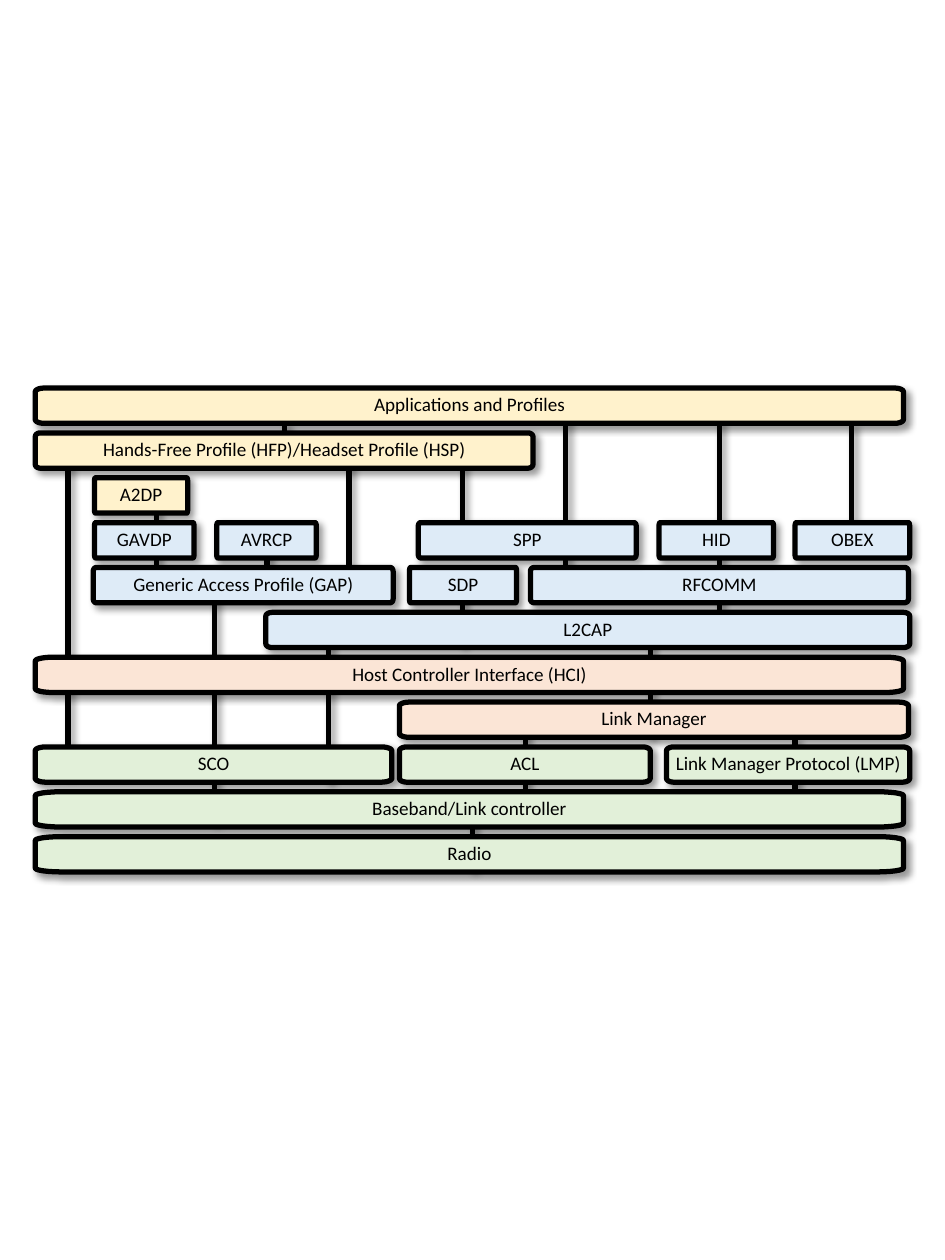
"""Builds a one-slide diagram of a wireless protocol stack."""
import math
from dataclasses import dataclass

from lxml import etree
from pptx import Presentation
from pptx import util as u
from pptx.dml.color import RGBColor
from pptx.enum import shapes, text
from pptx.oxml import ns

BLACK = RGBColor(0x00, 0x00, 0x00)
YELLOW = RGBColor(0xFF, 0xF2, 0xCC)
BLUE = RGBColor(0xDE, 0xEB, 0xF7)
PEACH = RGBColor(0xFB, 0xE5, 0xD6)
GREEN = RGBColor(0xE2, 0xF0, 0xD9)

FIRST_TOP, LAST_TOP, LAST_ROW = 3.08, 6.64, 10
ROW_STEP = (LAST_TOP - FIRST_TOP) / LAST_ROW
BOX_HEIGHT = 0.28
CORNER_HEIGHT = 0.03
CORNER_STEPS = 6


@dataclass(frozen=True)
class Layer:
    """Look shared by the boxes of one layer."""
    fill: RGBColor
    corner_ratio: float
    inset: float


PROFILE = Layer(YELLOW, 0.01, 0.07)
PROTOCOL = Layer(BLUE, 0.01, 0.07)
HOST = Layer(PEACH, 0.02, 0.04)
CONTROLLER = Layer(GREEN, 0.03, 0.04)

LINKS = [
    (1.24, 4.01, 4.72), (2.77, 3.61, 4.69), (2.61, 5.02, 6.21),
    (3.67, 4.62, 5.12), (4.17, 5.80, 6.52), (6.31, 5.85, 6.42),
    (5.16, 5.02, 5.85), (2.12, 4.29, 4.76), (1.70, 4.66, 6.53),
    (0.54, 3.61, 6.16), (3.75, 6.52, 6.91), (2.26, 3.35, 3.66),
    (3.67, 3.57, 4.38), (4.49, 3.30, 4.69), (5.71, 3.32, 5.02),
    (6.76, 3.36, 4.31),
]

BOXES = [
    ("SCO", 8, 0.28, 2.83, CONTROLLER),
    ("ACL", 8, 3.17, 1.99, CONTROLLER),
    ("Baseband/Link controller", 9, 0.28, 6.89, CONTROLLER),
    ("Radio", 10, 0.28, 6.89, CONTROLLER),
    ("Hands-Free Profile (HFP)/Headset Profile (HSP)", 1, 0.28, 3.95, PROFILE),
    ("Host Controller Interface (HCI)", 6, 0.28, 6.89, HOST),
    ("Link Manager", 7, 3.17, 4.04, HOST),
    ("Link Manager Protocol (LMP)", 8, 5.29, 1.93, CONTROLLER),
    ("Applications and Profiles", 0, 0.28, 6.89, PROFILE),
    ("SDP", 4, 3.25, 0.85, PROTOCOL),
    ("L2CAP", 5, 2.11, 5.11, PROTOCOL),
    ("OBEX", 3, 6.31, 0.91, PROTOCOL),
    ("RFCOMM", 4, 4.21, 3.00, PROTOCOL),
    ("HID", 3, 5.23, 0.91, PROTOCOL),
    ("SPP", 3, 3.32, 1.73, PROTOCOL),
    ("Generic Access Profile (GAP)", 4, 0.74, 2.38, PROTOCOL),
    ("AVRCP", 3, 1.72, 0.79, PROTOCOL),
    ("GAVDP", 3, 0.75, 0.79, PROTOCOL),
    ("A2DP", 2, 0.75, 0.74, PROFILE),
]


def add_shadow(shape):
    """Give a shape or connector a soft shadow to the lower right."""
    properties = shape.element.spPr
    effects = etree.SubElement(properties, ns.qn("a:effectLst"))
    shadow = etree.SubElement(
        effects, ns.qn("a:outerShdw"), blurRad=str(u.Pt(4)), dist=str(u.Pt(3)),
        dir=str(45 * 60000), algn="tl", rotWithShape="0")
    color = etree.SubElement(shadow, ns.qn("a:srgbClr"), val=str(BLACK))
    etree.SubElement(color, ns.qn("a:alpha"), val="40000")


def style_line(line):
    """Draw a line in thick black."""
    line.color.rgb = BLACK
    line.width = u.Pt(3)


def add_link(diagram, x, top, bottom):
    """Add a vertical link between two layers."""
    link = diagram.shapes.add_connector(
        shapes.MSO_CONNECTOR.STRAIGHT,
        u.Inches(x), u.Inches(top), u.Inches(x), u.Inches(bottom))
    style_line(link.line)
    add_shadow(link)


def rounded_outline(left, top, width, corner_width):
    """Return the points of a box with elliptical corners."""
    right, bottom = left + width, top + BOX_HEIGHT
    centers = [
        (right - corner_width, bottom - CORNER_HEIGHT),
        (left + corner_width, bottom - CORNER_HEIGHT),
        (left + corner_width, top + CORNER_HEIGHT),
        (right - corner_width, top + CORNER_HEIGHT),
    ]
    points = []
    for quarter, (x, y) in enumerate(centers):
        for step in range(CORNER_STEPS + 1):
            angle = (quarter + step / CORNER_STEPS) * math.pi / 2
            points.append((u.Inches(x + corner_width * math.cos(angle)),
                           u.Inches(y + CORNER_HEIGHT * math.sin(angle))))
    return points


def add_label(box, label, inset):
    """Write a centred label in a box."""
    frame = box.text_frame
    frame.word_wrap = True
    frame.vertical_anchor = text.MSO_ANCHOR.MIDDLE
    frame.margin_left = frame.margin_right = u.Inches(inset)
    frame.margin_top = frame.margin_bottom = u.Inches(inset)
    para = frame.paragraphs[0]
    para.alignment = text.PP_ALIGN.CENTER
    para.line_spacing = 0.9
    span = para.add_run()
    span.text = label
    span.font.name = "Calibri"
    span.font.size = u.Pt(10.9)
    span.font.color.rgb = BLACK


def add_box(diagram, label, row, left, width, layer):
    """Add a labelled box on one row of the stack."""
    top = FIRST_TOP + row * ROW_STEP
    points = rounded_outline(left, top, width, width * layer.corner_ratio)
    builder = diagram.shapes.build_freeform(*points[0])
    builder.add_line_segments(points[1:], close=True)
    box = builder.convert_to_shape()
    box.fill.solid()
    box.fill.fore_color.rgb = layer.fill
    style_line(box.line)
    add_shadow(box)
    add_label(box, label, layer.inset)


def main():
    """Build and save the deck."""
    deck = Presentation()
    deck.slide_width, deck.slide_height = u.Inches(7.5), u.Inches(10)
    page = deck.slides.add_slide(deck.slide_layouts[6])
    diagram = page.shapes.add_group_shape()
    for link in LINKS:
        add_link(diagram, *link)
    for box in BOXES:
        add_box(diagram, *box)
    deck.save("out.pptx")


main()
